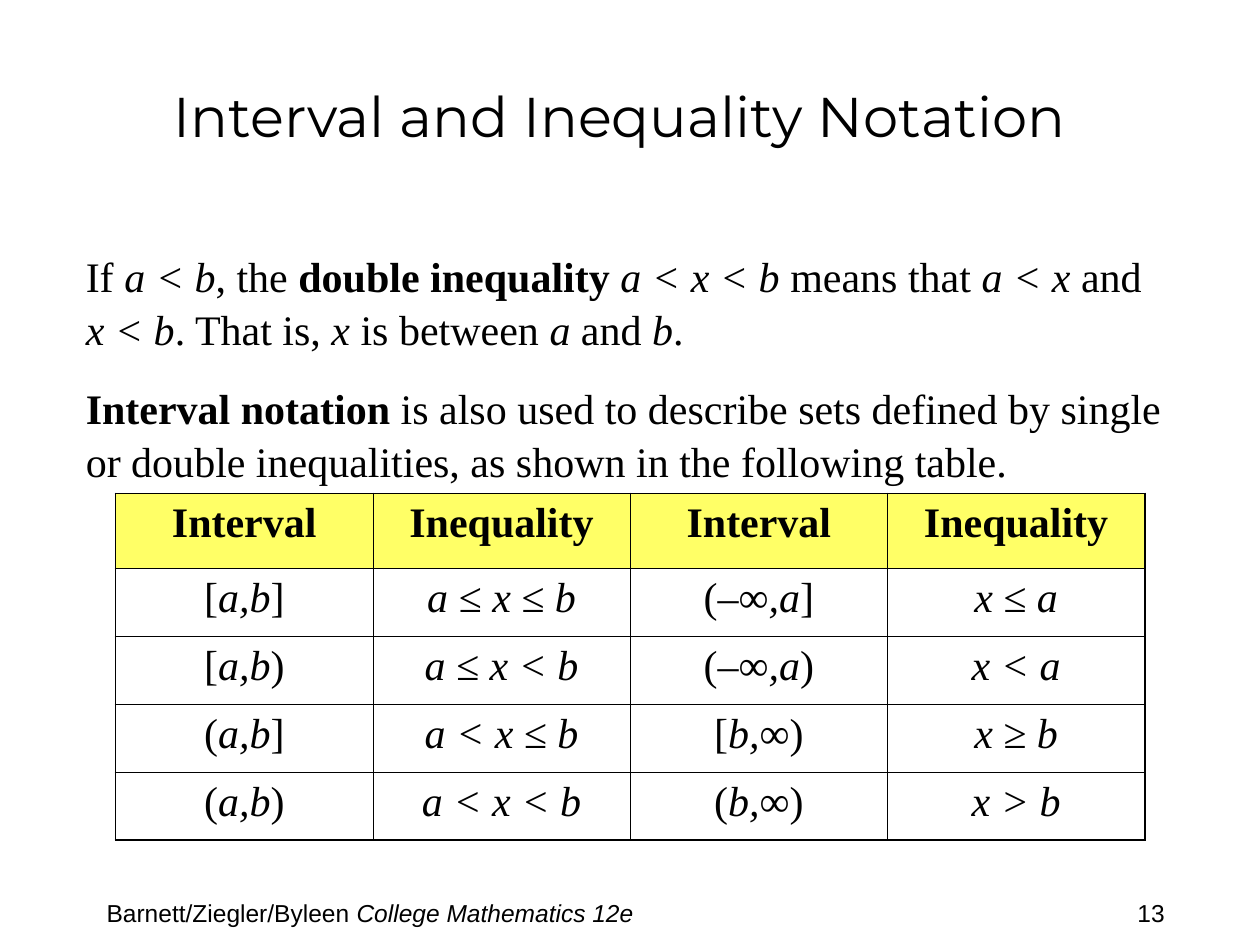
"""Builds a slide on interval and inequality notation."""
import pptx
import pptx.dml.color
import pptx.enum.text
import pptx.oxml
import pptx.oxml.ns
import pptx.util
from pptx.util import Cm, Pt

ALIGN = pptx.enum.text.PP_ALIGN
ANCHOR = pptx.enum.text.MSO_ANCHOR


def color(value):
    return pptx.dml.color.RGBColor.from_string(value)


class SlideBuilder:
    ink = "000000"
    header_fill = "FFFF66"
    serif, sans, display = "Times New Roman", "Arial", "Montserrat"
    inner_line, outer_line = 0.45, 1.08

    def __init__(self, deck):
        self.page = deck.slides.add_slide(deck.slide_layouts[5])

    def add_spans(self, para, spans, font, size):
        for text, style in spans:
            if text == "\n":
                para.add_line_break()
                continue
            span = para.add_run()
            span.text = text
            span.font.name = font
            span.font.size = Pt(size)
            span.font.bold = style == "b"
            span.font.italic = style == "i"
            span.font.color.rgb = color(self.ink)

    def title(self, text, left, top, width, height):
        box = self.page.shapes.title
        box.left, box.top, box.width, box.height = map(Cm, (left, top, width, height))
        box.text_frame.vertical_anchor = ANCHOR.MIDDLE
        para = box.text_frame.paragraphs[0]
        para.alignment = ALIGN.CENTER
        self.add_spans(para, [(text, "")], self.display, 32)

    def text(self, paragraphs, left, top, width, height, font, size,
             wrap=True, gap=0, spacing=None):
        box = self.page.shapes.add_textbox(*map(Cm, (left, top, width, height)))
        frame = box.text_frame
        frame.word_wrap = wrap
        for index, spans in enumerate(paragraphs):
            para = frame.add_paragraph() if index else frame.paragraphs[0]
            if index:
                para.space_before = Pt(gap)
            if spacing:
                para.line_spacing = spacing
            self.add_spans(para, spans, font, size)

    def border(self, cell, side, width):
        line = pptx.oxml.parse_xml(
            f'<a:ln{side} {pptx.oxml.ns.nsdecls("a")} w="{Pt(width)}"><a:solidFill>'
            f'<a:srgbClr val="{self.ink}"/></a:solidFill></a:ln{side}>')
        cell._tc.get_or_add_tcPr().append(line)

    def table(self, rows, left, top, width, heights):
        count = len(rows[0])
        shape = self.page.shapes.add_table(
            len(rows), count, Cm(left), Cm(top), Cm(width), Cm(sum(heights)))
        grid = shape.table
        grid.first_row = grid.horz_banding = False
        for column in grid.columns:
            column.width = Cm(width / count)
        for r, spans_in_row in enumerate(rows):
            grid.rows[r].height = Cm(heights[r])
            for c, spans in enumerate(spans_in_row):
                cell = grid.cell(r, c)
                edges = {"L": c == 0, "R": c == count - 1,
                         "T": r == 0, "B": r == len(rows) - 1}
                for side, outer in edges.items():
                    self.border(cell, side, self.outer_line if outer else self.inner_line)
                if r == 0:
                    cell.fill.solid()
                    cell.fill.fore_color.rgb = color(self.header_fill)
                else:
                    cell.fill.background()
                para = cell.text_frame.paragraphs[0]
                para.alignment = ALIGN.CENTER
                self.add_spans(para, spans, self.serif, 24)


def main():
    deck = pptx.Presentation()
    deck.slide_width, deck.slide_height = Cm(25.4), Cm(19.05)
    slide = SlideBuilder(deck)

    slide.text([[("13", "")]], 22.68, 17.98, 2.77, 0.86, slide.sans, 14, wrap=False)
    slide.text([[("Barnett/Ziegler/Byleen ", ""), ("College Mathematics 12e", "i")]],
               1.9, 17.98, 14.8, 0.64, slide.sans, 14)
    slide.title("Interval and Inequality Notation", 1.7, 1.27, 21.6, 2.12)

    intervals = [
        (("[", "a,b", "]"), "a ≤ x ≤ b", ("(–∞", ",a", "]"), "x ≤ a"),
        (("[", "a,b", ")"), "a ≤ x < b", ("(–∞", ",a", ")"), "x < a"),
        (("(", "a,b", "]"), "a < x ≤ b", ("[", "b,", "∞)"), "x ≥ b"),
        (("(", "a,b", ")"), "a < x < b", ("(", "b,", "∞)"), "x > b"),
    ]
    rows = [[[(name, "b")] for name in ("Interval", "Inequality") * 2]]
    for entries in intervals:
        rows.append([[(entry, "i")] if isinstance(entry, str)
                     else list(zip(entry, ("", "i", ""))) for entry in entries])
    slide.table(rows, 2.33, 9.95, 20.75, [1.51] + [1.37] * 4)

    double_inequality = [
        ("If ", ""), ("a < b", "i"), (", the ", ""), ("double inequality ", "b"),
        ("a < x < b", "i"), (" means that ", ""), ("a < x", "i"), (" and", ""),
        ("\n", ""), ("x < b", "i"), (". That is, ", ""), ("x", "i"),
        (" is between ", ""), ("a", "i"), (" and ", ""), ("b", "i"), (".", "")]
    interval_notation = [
        ("Interval notation", "b"),
        (" is also used to describe sets defined by single or double inequalities, "
         "as shown in the following table.", "")]
    slide.text([double_inequality, interval_notation], 1.48, 4.88, 22.43, 4.85,
               slide.serif, 24, gap=15, spacing=1.05)
    deck.save("out.pptx")


if __name__ == "__main__":
    main()
